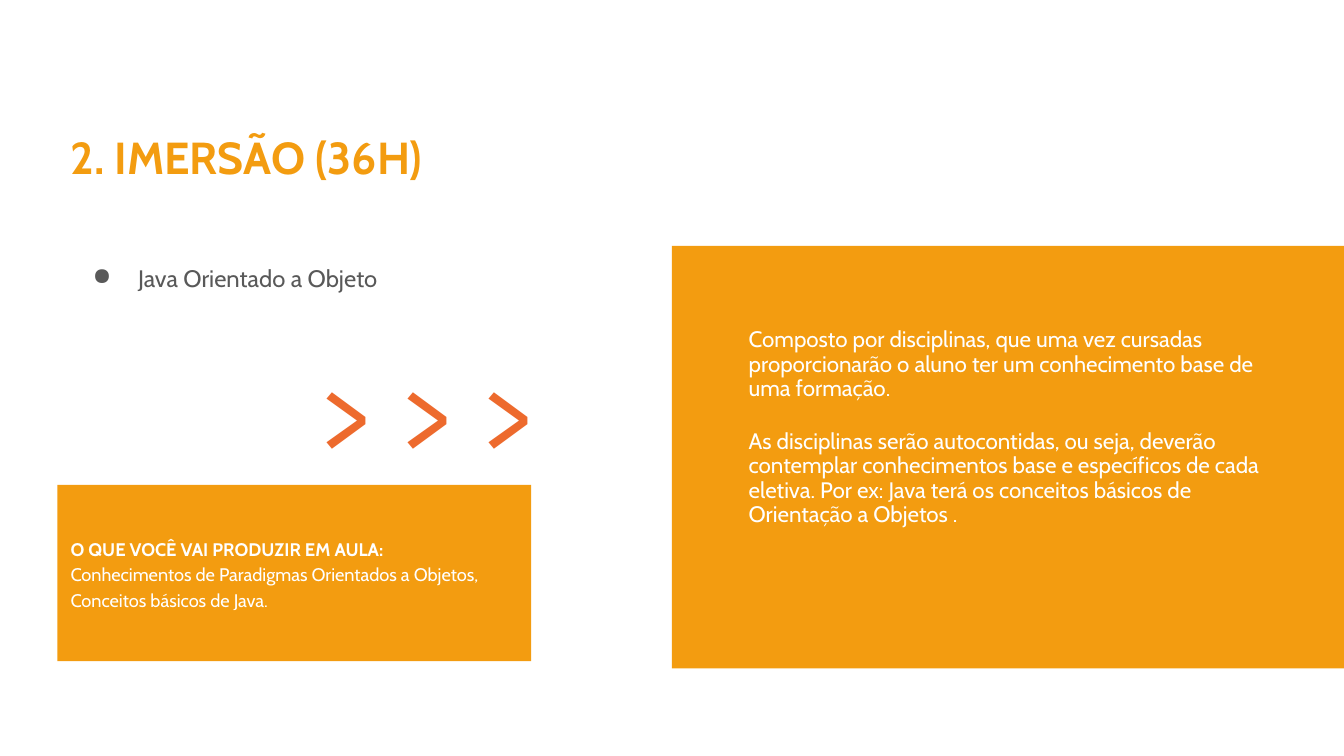
from dataclasses import dataclass, field

from lxml.etree import SubElement as Sub
from pptx import Presentation
from pptx.dml.color import RGBColor as Rgb
from pptx.enum.shapes import MSO_SHAPE as Shape
from pptx.enum.text import MSO_ANCHOR as Anchor, MSO_AUTO_SIZE as Auto
from pptx.oxml.ns import qn
from pptx.slide import Slide
from pptx.text.text import TextFrame as Frame
from pptx.util import Pt

HUES = {"amber": "F39C10", "rust": "ED6A2D", "grey": "595959", "white": "FFFFFF"}
LEFT = 41.04
TOP = 175.68
HALF = 480
PAD = (9.36, 9.36)
SLIM = (7.2, 3.6)


@dataclass
class Para:
    text: str
    size: float
    hue: str
    bold: bool = False
    face: str = "Cabin"
    form: dict = field(default_factory=dict)
    dot: bool = False


@dataclass
class Box:
    place: tuple[float, float, float, float]
    paras: list[Para] = field(default_factory=list)
    fill: str = ""
    pad: tuple[float, float] = PAD
    form: dict = field(default_factory=dict)


LOOSE = {"line_spacing": 1.15}
TIGHT = {"line_spacing": 0.9}
MID = {"vertical_anchor": Anchor.MIDDLE}

BOXES = [
    Box((LEFT, TOP, 301.68, 50.4),
        [Para("Java Orientado a Objeto", 17, "grey", form=LOOSE, dot=True)]),
    Box((HALF, TOP, HALF, 301.68), fill="amber"),
    Box((527.76, 196.56, 384.48, 218.16), [
        Para("Composto por disciplinas, que uma vez cursadas proporcionarão "
             "o aluno ter um conhecimento base de uma formação.",
             16, "white", form=TIGHT),
        Para("As disciplinas serão autocontidas, ou seja, deverão contemplar "
             "conhecimentos base e específicos de cada eletiva. Por ex: Java "
             "terá os conceitos básicos de Orientação a Objetos .",
             16, "white", form=TIGHT | {"space_before": Pt(21)}),
    ], pad=SLIM, form=MID),
    Box((LEFT, 346.32, 338.4, 126), [
        Para("O QUE VOCÊ VAI PRODUZIR EM AULA:", 13, "white", True, form=LOOSE),
        Para("Conhecimentos de Paradigmas Orientados a Objetos, "
             "Conceitos básicos de Java.", 13, "white", form=LOOSE),
    ], fill="amber", form=MID),
    Box((LEFT, 77.76, 619.2, 60.48),
        [Para("2. IMERSÃO (36H)", 32, "amber", True,
              form=LOOSE | {"space_after": Pt(21)})]),
    Box((218.16, 238.32, 177.12, 111.6),
        [Para("> > >", 76, "rust", face="Karla")],
        form={"auto_size": Auto.SHAPE_TO_FIT_TEXT}),
]


def apply(item: object, form: dict) -> None:
    for name, value in form.items():
        setattr(item, name, value)


def tone(hue: str) -> Rgb:
    return Rgb.from_string(HUES[hue])


def add_dot(line: object, hue: str) -> None:
    props = line._p.get_or_add_pPr()
    props.set("marL", str(Pt(48.24)))
    props.set("indent", str(Pt(-32.4)))
    Sub(Sub(props, qn("a:buClr")), qn("a:srgbClr"), val=HUES[hue])
    Sub(props, qn("a:buChar"), char="●")


def write(frame: Frame, paras: list[Para]) -> None:
    for spot, para in enumerate(paras):
        line = frame.add_paragraph() if spot else frame.paragraphs[0]
        if para.dot:
            add_dot(line, para.hue)
        apply(line, para.form)
        run = line.add_run()
        run.text = para.text
        apply(run.font, {"size": Pt(para.size), "name": para.face,
                         "bold": para.bold})
        run.font.color.rgb = tone(para.hue)


def draw(slide: Slide, box: Box) -> None:
    place = [Pt(side) for side in box.place]
    if box.fill:
        shape = slide.shapes.add_shape(Shape.RECTANGLE, *place)
        shape.shadow.inherit = False
        shape.fill.solid()
        shape.fill.fore_color.rgb = tone(box.fill)
        shape.line.fill.background()
    else:
        shape = slide.shapes.add_textbox(*place)
    if not box.paras:
        return
    wide, high = (Pt(edge) for edge in box.pad)
    frame = shape.text_frame
    apply(frame, {"word_wrap": True, "margin_left": wide, "margin_right": wide,
                  "margin_top": high, "margin_bottom": high,
                  "vertical_anchor": Anchor.TOP} | box.form)
    write(frame, box.paras)
    if box.fill:
        for line in frame.paragraphs:
            line.alignment = 1


def main() -> None:
    deck = Presentation()
    apply(deck, {"slide_width": Pt(2 * HALF), "slide_height": Pt(540)})
    slide = deck.slides.add_slide(deck.slide_layouts[6])
    for box in BOXES:
        draw(slide, box)
    deck.save("out.pptx")


if __name__ == "__main__":
    main()
